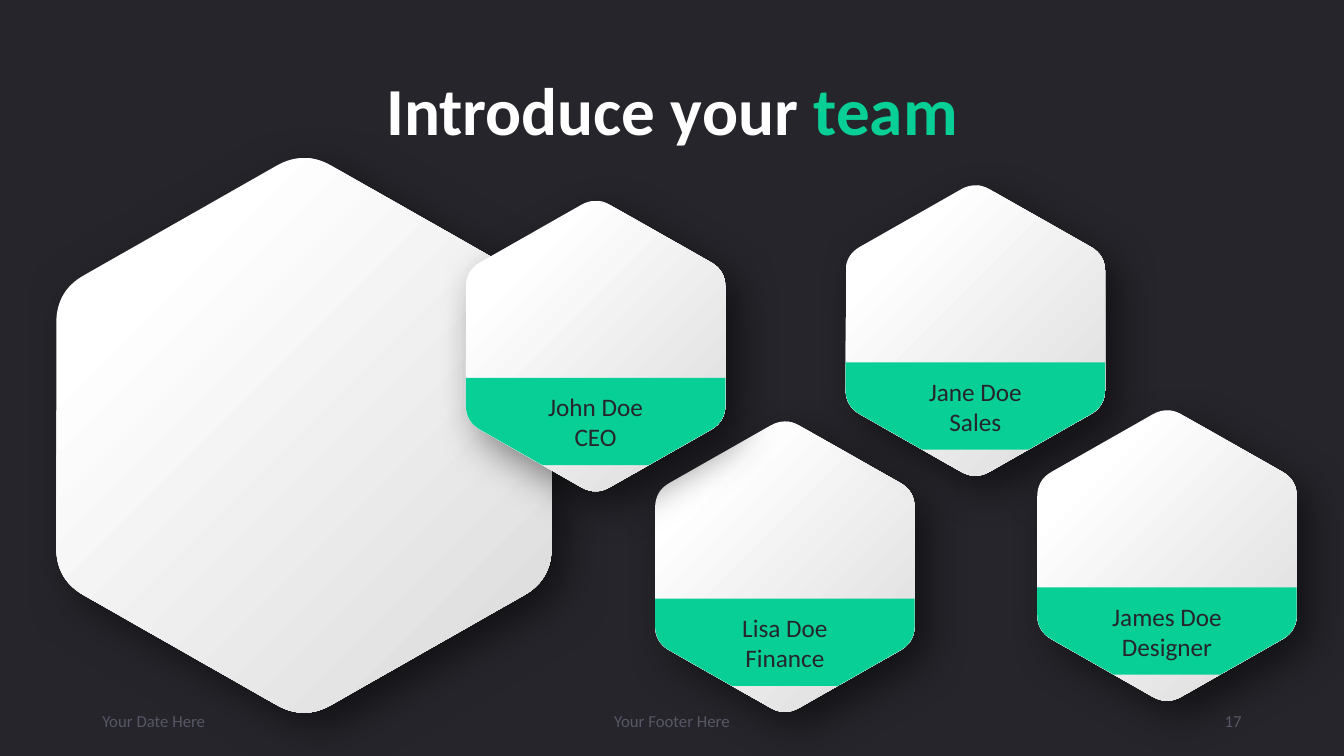
from dataclasses import dataclass

from lxml.etree import SubElement
from pptx import Presentation
from pptx.dml.color import RGBColor
from pptx.enum.text import MSO_ANCHOR, PP_ALIGN
from pptx.oxml.ns import qn
from pptx.shapes.autoshape import Shape
from pptx.slide import Slide
from pptx.text.text import TextFrame
from pptx.util import Cm, Pt

DARK = RGBColor(0x25, 0x25, 0x2B)
WHITE = RGBColor(0xFF, 0xFF, 0xFF)
SILVER = RGBColor(0xDA, 0xD9, 0xD9)
GREEN = RGBColor(0x08, 0xCF, 0x96)
MUTED = RGBColor(0x57, 0x57, 0x65)
FONT = "Calibri"

Point = tuple[float, float]
Segment = tuple[Point, ...]  # one point for a line, three for a curve

# Hexagon corners and band edges, as fractions of the tile's width and height.
# The sharp top and bottom overshoot, so that the rounded ones touch the edge.
ROUNDING = 0.11
SHOULDER = 0.24
OVERSHOOT = ROUNDING * SHOULDER / (2 - ROUNDING)
TOP, BOTTOM = (0.5, -OVERSHOOT), (0.5, 1 + OVERSHOOT)
UPPER_RIGHT, LOWER_RIGHT = (1, SHOULDER), (1, 1 - SHOULDER)
UPPER_LEFT, LOWER_LEFT = (0, SHOULDER), (0, 1 - SHOULDER)
BAND_TOP, BAND_BOTTOM = 0.61, 0.91


@dataclass(frozen=True)
class Tile:
    """A hexagonal tile, in centimetres, with an optional name band."""
    left: float
    top: float
    width: float = 6.54
    height: float = 7.32
    name: str = ""
    role: str = ""


@dataclass(frozen=True)
class FooterItem:
    """One text in the footer row, in centimetres."""
    left: float
    width: float
    text: str
    align: PP_ALIGN


BACK_TILES = (
    Tile(16.51, 10.62, name="Lisa Doe", role="Finance"),
    Tile(21.31, 4.67, name="Jane Doe", role="Sales"),
    Tile(26.14, 10.34, name="James Doe", role="Designer"),
)
FRONT_TILES = (
    Tile(1.42, 3.98, 12.48, 13.98),
    Tile(11.74, 5.06, name="John Doe", role="CEO"),
)
FOOTER = (
    FooterItem(2.33, 7.62, "Your Date Here", PP_ALIGN.LEFT),
    FooterItem(11.22, 11.43, "Your Footer Here", PP_ALIGN.CENTER),
    FooterItem(23.92, 7.62, "17", PP_ALIGN.RIGHT),
)


def between(start: Point, end: Point, share: float) -> Point:
    """Return the point at the given share of the way from start to end."""
    return (start[0] + (end[0] - start[0]) * share, start[1] + (end[1] - start[1]) * share)


def rounded_corner(before: Point, corner: Point, after: Point) -> list[Segment]:
    """Return a line to the corner and a curve that rounds it off."""
    start, end = between(corner, before, ROUNDING), between(corner, after, ROUNDING)
    return [(start,), (between(start, corner, 2 / 3), between(end, corner, 2 / 3), end)]


def hexagon_outline() -> list[Segment]:
    """Return the outline of the rounded hexagon."""
    corners = [TOP, UPPER_RIGHT, LOWER_RIGHT, BOTTOM, LOWER_LEFT, UPPER_LEFT]
    return [segment for index, corner in enumerate(corners)
            for segment in rounded_corner(corners[index - 1], corner, corners[(index + 1) % 6])]


def band_outline() -> list[Segment]:
    """Return the strip of the hexagon that carries the name."""
    share = (BAND_BOTTOM - LOWER_RIGHT[1]) / (BOTTOM[1] - LOWER_RIGHT[1])
    return [((0, BAND_TOP),), ((1, BAND_TOP),),
            *rounded_corner(UPPER_RIGHT, LOWER_RIGHT, BOTTOM),
            (between(LOWER_RIGHT, BOTTOM, share),), (between(LOWER_LEFT, BOTTOM, share),),
            *rounded_corner(BOTTOM, LOWER_LEFT, UPPER_LEFT)]


def bend_curves(shape: Shape, outline: list[Segment]) -> None:
    """Merge the three lines of each curved segment into one Bezier curve."""
    lines = shape._element.spPr.iter(qn("a:lnTo"))
    remaining = iter(list(lines))
    for segment in outline[1:]:
        first, *others = [next(remaining) for _ in segment]
        if others:
            curve = first.makeelement(qn("a:cubicBezTo"))
            first.addprevious(curve)
            for line in (first, *others):
                curve.append(line[0])
                line.getparent().remove(line)


def draw_outline(page: Slide, tile: Tile, outline: list[Segment]) -> Shape:
    """Draw an outline scaled to the tile, without a line or shadow."""
    points = [(Cm(tile.left + x * tile.width), Cm(tile.top + y * tile.height))
              for segment in outline for x, y in segment]
    builder = page.shapes.build_freeform(*points[0])
    builder.add_line_segments(points[1:], close=True)
    shape = builder.convert_to_shape()
    bend_curves(shape, outline)
    shape.line.fill.background()
    shape.shadow.inherit = False
    return shape


def add_shadow(shape: Shape) -> None:
    """Give the shape a soft shadow towards the lower right."""
    effects = shape._element.spPr.find(qn("a:effectLst"))
    shadow = SubElement(effects, qn("a:outerShdw"), blurRad=str(Pt(30)), dist=str(Pt(14)),
                        dir="2700000", algn="tl", rotWithShape="0")
    colour = SubElement(shadow, qn("a:srgbClr"), val="000000")
    SubElement(colour, qn("a:alpha"), val="50000")


def format_text(frame: TextFrame, size: int, colour: RGBColor, align: PP_ALIGN) -> None:
    """Format every paragraph and run of a text frame."""
    frame.word_wrap = True
    frame.vertical_anchor = MSO_ANCHOR.MIDDLE
    for paragraph in frame.paragraphs:
        paragraph.alignment = align
        for span in paragraph.runs:
            span.font.name = FONT
            span.font.size = Pt(size)
            span.font.color.rgb = colour


def draw_tile(page: Slide, tile: Tile) -> None:
    """Draw a hexagon and, if it has a name, its band."""
    hexagon = draw_outline(page, tile, hexagon_outline())
    hexagon.fill.gradient()
    hexagon.fill.gradient_angle = 315
    for stop, position, colour in zip(hexagon.fill.gradient_stops, (0.2, 1), (WHITE, SILVER)):
        stop.position = position
        stop.color.rgb = colour
    add_shadow(hexagon)
    if tile.name:
        band = draw_outline(page, tile, band_outline())
        band.fill.solid()
        band.fill.fore_color.rgb = GREEN
        band.text_frame.text = f"{tile.name}\n{tile.role}"
        format_text(band.text_frame, 18, DARK, PP_ALIGN.CENTER)


def draw_title(page: Slide) -> None:
    """Fill the title placeholder, with its last word in green."""
    title = page.shapes.title
    title.left, title.top, title.width, title.height = Cm(2.33), Cm(1.02), Cm(29.21), Cm(3.68)
    title.text_frame.text = "Introduce your "
    paragraph = title.text_frame.paragraphs[0]
    paragraph.line_spacing = 0.9
    accent = paragraph.add_run()
    accent.text = "team"
    format_text(title.text_frame, 48, WHITE, PP_ALIGN.CENTER)
    accent.font.color.rgb = GREEN
    for span in paragraph.runs:
        span.font.bold = True


def draw_footer_item(page: Slide, item: FooterItem) -> None:
    """Write one text of the footer row."""
    box = page.shapes.add_textbox(Cm(item.left), Cm(17.65), Cm(item.width), Cm(1.02))
    box.text_frame.text = item.text
    format_text(box.text_frame, 12, MUTED, item.align)


def main() -> None:
    """Build the team slide and save it."""
    deck = Presentation()
    deck.slide_width, deck.slide_height = Cm(33.87), Cm(19.05)
    page = deck.slides.add_slide(deck.slide_layouts[5])
    page.background.fill.solid()
    page.background.fill.fore_color.rgb = DARK
    for tile in BACK_TILES:
        draw_tile(page, tile)
    draw_title(page)
    for item in FOOTER:
        draw_footer_item(page, item)
    for tile in FRONT_TILES:
        draw_tile(page, tile)
    deck.save("out.pptx")


main()
